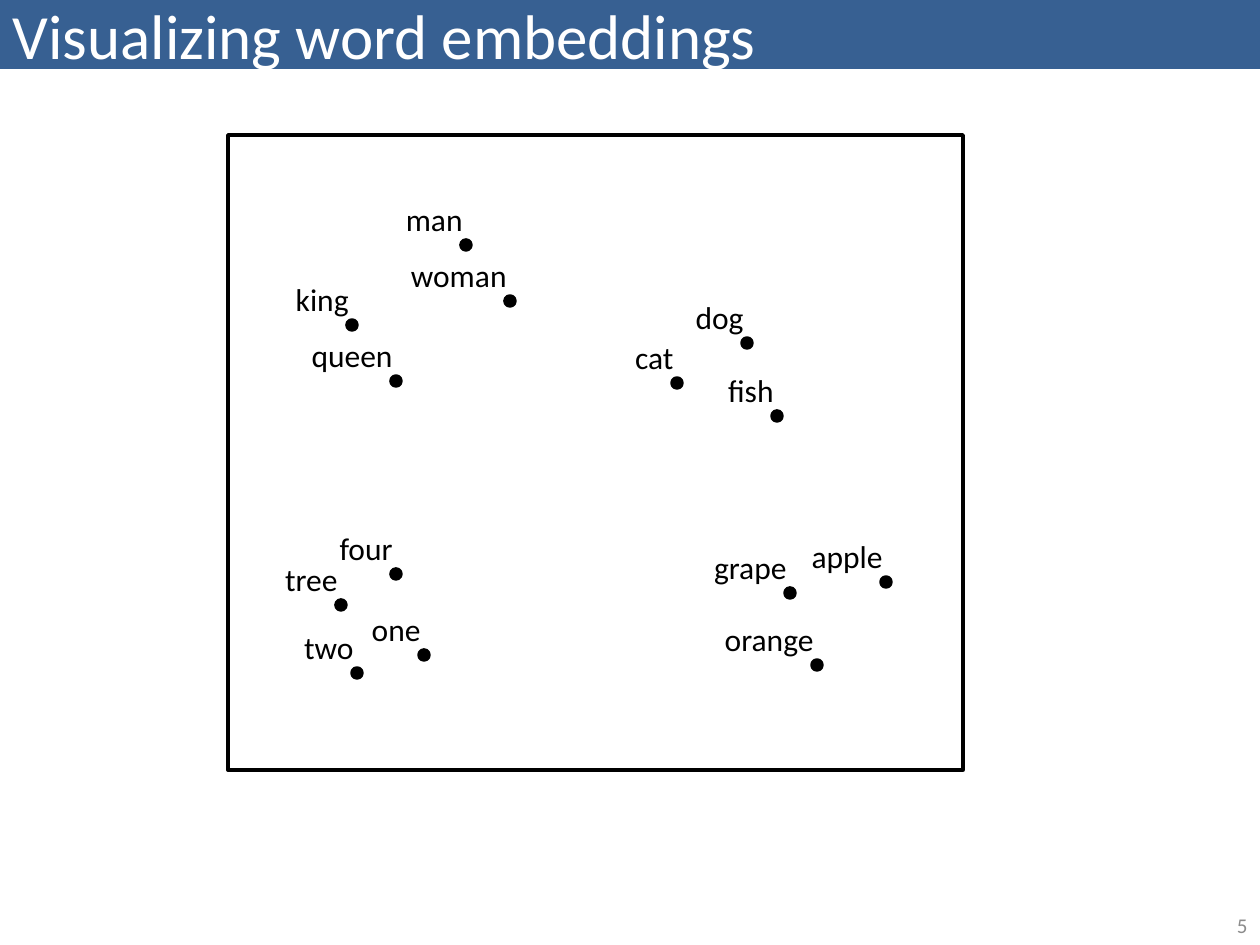
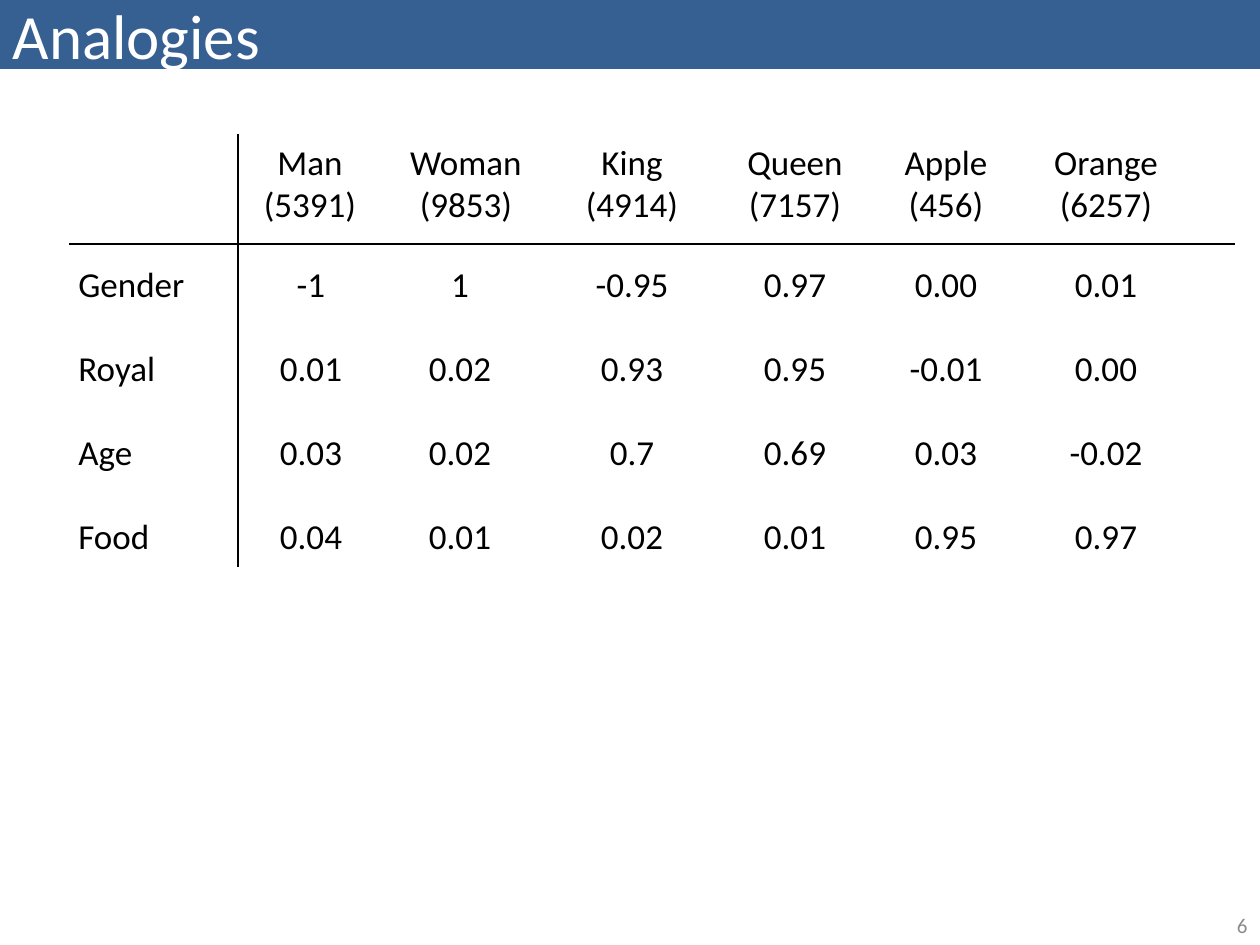
from pptx import Presentation
from pptx import util as u
from pptx.dml.color import RGBColor
from pptx.enum import shapes, text
from lxml import etree

PIXEL = u.Inches(1) / 126
BLUE = RGBColor(0x37, 0x60, 0x92)
WHITE = RGBColor(0xFF, 0xFF, 0xFF)
BLACK = RGBColor(0, 0, 0)
GREY = RGBColor(0x8C, 0x8C, 0x8C)
FONT = "Calibri"
DRAWING = "http://schemas.openxmlformats.org/drawingml/2006/main"
LEFT, CENTER, RIGHT = text.PP_ALIGN.LEFT, text.PP_ALIGN.CENTER, text.PP_ALIGN.RIGHT

DOT = 10
LABEL_HEIGHT = 51
WORDS = [
    ("man", 466, 245, 83), ("woman", 510, 301, 122),
    ("king", 352, 325, 79), ("queen", 396, 381, 107),
    ("four", 396, 574, 79), ("tree", 341, 605, 78),
    ("one", 424, 655, 74), ("two", 357, 673, 76),
    ("dog", 747, 343, 74), ("grape", 790, 593, 98),
    ("orange", 817, 665, 116), ("apple", 886, 582, 97),
    ("cat", 677, 383, 64), ("fish", 777, 416, 72),
]

FEATURES = ["Gender", "Royal", "Age", "Food"]
COLUMNS = [
    ("Man", "(5391)", 310, 311, 118, ["-1", "0.01", "0.03", "0.04"]),
    ("Woman", "(9853)", 466, 460, 137, ["1", "0.02", "0.02", "0.01"]),
    ("King", "(4914)", 632, 632, 118, ["-0.95", "0.93", "0.7", "0.02"]),
    ("Queen", "(7157)", 795, 795, 122, ["0.97", "0.95", "0.69", "0.01"]),
    ("Apple", "(456)", 946, 946, 108, ["0.00", "-0.01", "0.03", "0.95"]),
    ("Orange", "(6257)", 1106, 1106, 130, ["0.01", "0.00", "-0.02", "0.97"]),
]
HEADER_TOP, HEADER_HEIGHT = 134, 97
VALUES_TOP, VALUES_HEIGHT, VALUES_WIDTH = 256, 310, 104


def px(*lengths):
    return [u.Emu(round(length * PIXEL)) for length in lengths]


def style(para, size, color, align):
    para.alignment = align
    para.font.name = FONT
    para.font.size = u.Pt(size)
    para.font.color.rgb = color


def add_text(parent, lines, area, size, align=LEFT, color=BLACK, gap=0):
    box = parent.add_textbox(*px(*area))
    frame = box.text_frame
    frame.word_wrap = False
    frame.auto_size = text.MSO_AUTO_SIZE.SHAPE_TO_FIT_TEXT
    frame.text = "\n".join(lines)
    for index, para in enumerate(frame.paragraphs):
        style(para, size, color, align)
        para.space_before = u.Pt(gap if index else 0)
    return box


def add_outlined(parent, kind, area, fill=None):
    shape = parent.add_shape(kind, *px(*area))
    shape.shadow.inherit = False
    if fill is None:
        shape.fill.background()
    else:
        shape.fill.solid()
        shape.fill.fore_color.rgb = fill
    shape.line.color.rgb = BLACK
    shape.line.width = u.Pt(2)


def add_rule(page, *ends):
    rule = page.shapes.add_connector(shapes.MSO_CONNECTOR.STRAIGHT, *px(*ends))
    rule.line.color.rgb = BLACK
    rule.line.width = u.Pt(0.75)
    etree.SubElement(rule._element.spPr, f"{{{DRAWING}}}effectLst")


def add_page(deck, title, number):
    page = deck.slides.add_slide(deck.slide_layouts[5])
    band = page.shapes.title
    band.left, band.top, band.width, band.height = px(0, 0, 1260, 69)
    band.fill.solid()
    band.fill.fore_color.rgb = BLUE
    band.text_frame.text = title
    band.text_frame.auto_size = text.MSO_AUTO_SIZE.NONE
    band.text_frame.vertical_anchor = text.MSO_ANCHOR.MIDDLE
    style(band.text_frame.paragraphs[0], 36, WHITE, LEFT)
    footer = add_text(page.shapes, [str(number)], (1142, 906, 118, 39), 12, RIGHT, GREY)
    footer.text_frame.word_wrap = True
    footer.text_frame.auto_size = text.MSO_AUTO_SIZE.NONE
    footer.text_frame.vertical_anchor = text.MSO_ANCHOR.MIDDLE
    return page


def add_word(page, word, x, y, width):
    group = page.shapes.add_group_shape().shapes
    label = (x + 9 - width, y - LABEL_HEIGHT, width, LABEL_HEIGHT)
    add_text(group, [word], label, 18, RIGHT)
    dot = (x - DOT / 2, y - DOT / 2, DOT, DOT)
    add_outlined(group, shapes.MSO_SHAPE.OVAL, dot, BLACK)


def add_column(page, name, index, header_center, values_center, width, values):
    header = (header_center - width / 2, HEADER_TOP, width, HEADER_HEIGHT)
    add_text(page.shapes, [name, index], header, 20, CENTER)
    body = (values_center - VALUES_WIDTH / 2, VALUES_TOP, VALUES_WIDTH, VALUES_HEIGHT)
    add_text(page.shapes, values, body, 20, CENTER, gap=24)


def build_embeddings(deck):
    page = add_page(deck, "Visualizing word embeddings", 5)
    for word in WORDS:
        add_word(page, *word)
    add_outlined(page.shapes, shapes.MSO_SHAPE.RECTANGLE, (228, 135, 735, 635))


def build_analogies(deck):
    page = add_page(deck, "Analogies", 6)
    add_rule(page, 69, 244, 1235, 244)
    add_rule(page, 238, 134, 238, 567)
    add_text(page.shapes, FEATURES, (66, VALUES_TOP, 132, VALUES_HEIGHT), 20, gap=24)
    for column in COLUMNS:
        add_column(page, *column)


def main():
    deck = Presentation()
    deck.slide_width, deck.slide_height = px(1260, 945)
    build_embeddings(deck)
    build_analogies(deck)
    deck.save("out.pptx")


main()
